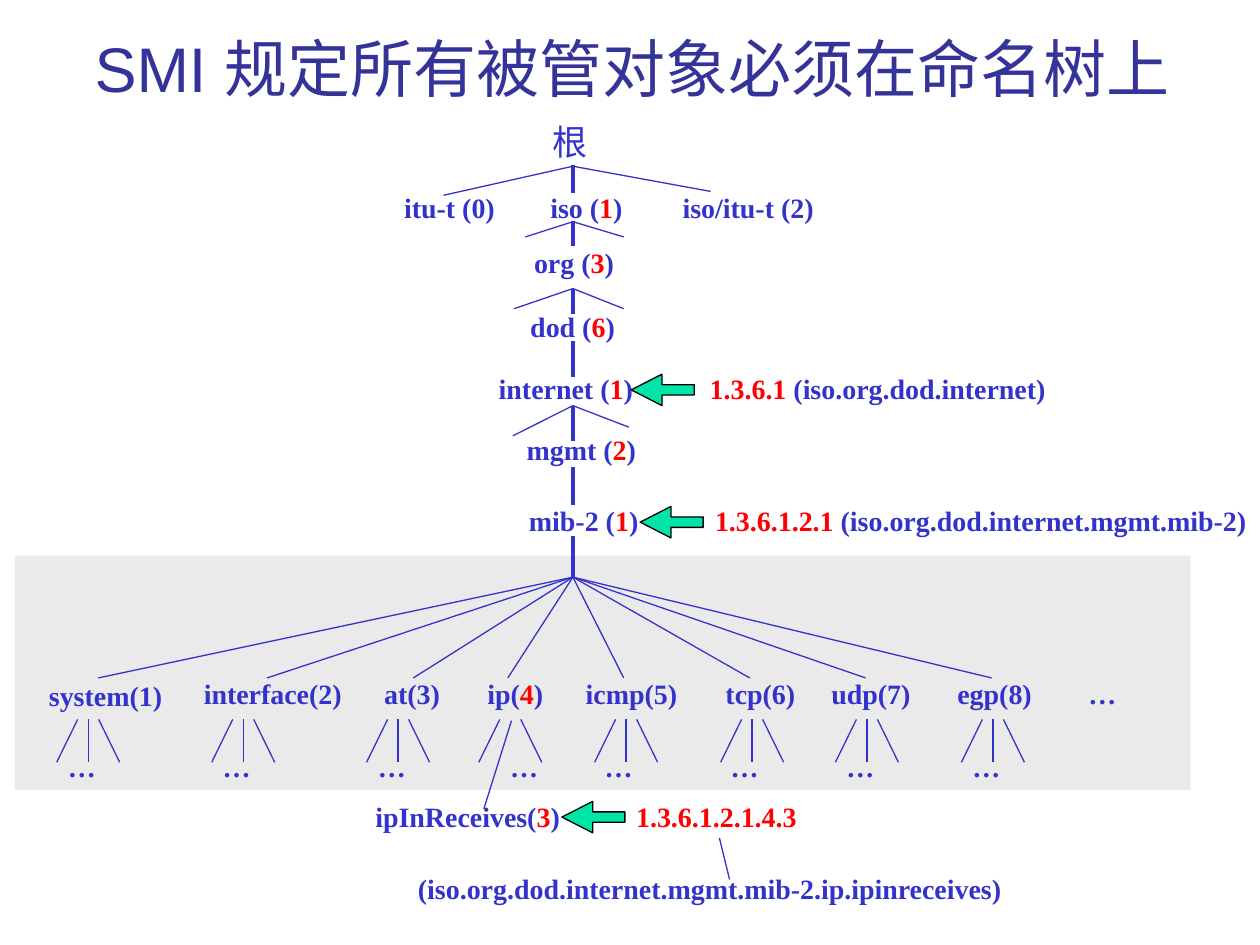
from lxml.etree import SubElement
from pptx import Presentation
from pptx.dml.color import RGBColor
from pptx.enum.shapes import MSO_CONNECTOR as Connector, MSO_SHAPE as Shape
from pptx.enum.text import MSO_ANCHOR as Anchor, MSO_AUTO_SIZE as AutoSize, PP_ALIGN as Align
from pptx.oxml.ns import qn
from pptx.util import Pt

BLUE = RGBColor(0x33, 0x33, 0xCC)
NAVY = RGBColor(0x33, 0x33, 0x99)
RED = RGBColor(0xFF, 0x00, 0x00)
GREEN = RGBColor(0x00, 0xE4, 0xA8)
GRAY = RGBColor(0xEA, 0xEA, 0xEA)
BLACK = RGBColor(0x00, 0x00, 0x00)

TITLE = "SMI 规定所有被管对象必须在命名树上"
LABEL = {"name": "Times New Roman", "size": Pt(16), "bold": True}
ROOT = {"name": "Times New Roman", "size": Pt(20), "bold": False}
HEADING = {"name": "Arial", "size": Pt(36), "bold": False}
LABEL_HEIGHT = 26.6
WIDTH_SLACK = 2

LABELS = [
    ("iso (|1|)", 307.4, 105.1, 55.4),
    ("itu-t (0)", 223.9, 105.1, 66.2),
    ("iso/itu-t (2)", 383, 105.1, 89.3),
    ("org (|3|)", 298.1, 136.8, 59.8),
    ("dod (|6|)", 295.9, 173.5, 62.6),
    ("internet (|1|)", 277.9, 208.8, 91),
    ("|1.3.6.1| (iso.org.dod.internet)", 398.5, 208.8, 206.4),
    ("mgmt (|2|)", 293.8, 243.4, 77),
    ("mib-2 (|1|)", 295.2, 284.4, 76.7),
    ("|1.3.6.1.2.1| (iso.org.dod.internet.mgmt.mib-2)", 401.5, 284.4, 318),
    ("…", 614.9, 383, 30.2),
    ("ipInReceives(|3|)", 207.4, 453.6, 123.8),
    ("|1.3.6.1.2.1.4.3|", 356.4, 453.6, 105.8),
    ("(iso.org.dod.internet.mgmt.mib-2.ip.ipinreceives)", 231.8, 494.6, 347.8),
]

TRUNK_X = 327.4
TRUNK = [(94.3, 110.2), (126, 140.4), (164.9, 179.3), (195.1, 215.3),
         (231.8, 252), (267.1, 288.7), (306, 330.5)]
FORKS = [
    (95, (253.4, 111.6), (406.1, 109.4)),
    (126.7, (300.2, 135.4), (356.4, 135.4)),
    (164.9, (293.8, 176.4), (356.4, 176.4)),
    (231.8, (293, 249.1), (359.3, 244.1)),
]
ARROWS = [(360.7, 213.8), (365.8, 289.4), (321.1, 457.9)]

GROUPS = [
    ("system(1)", 20.9, 384.5, 79.2, 56.2, 50.4, 31.7),
    ("interface(2)", 109.4, 383, 92.9, 152.6, 139, 120.2),
    ("at(3)", 212.4, 383, 46.1, 236.2, 227.5, 208.8),
    ("ip(|4|)", 271.4, 383, 46.1, 290.2, 291.6, 284.4),
    ("icmp(5)", 327.6, 383, 66.2, 356.4, 357.8, 338.4),
    ("tcp(6)", 407.5, 383, 54, 428.4, 429.8, 410.4),
    ("udp(7)", 468, 383, 59.8, 494.6, 495.4, 476.6),
    ("egp(8)", 540, 383, 56.9, 566.6, 567.4, 548.6),
]
HUB_Y, BRANCH_Y, FAN_TOP, FAN_BOTTOM, ELLIPSIS_Y = 329.8, 387.4, 411.1, 435.6, 424.8

presentation = Presentation()
presentation.slide_width, presentation.slide_height = Pt(720), Pt(540)
slide = presentation.slides.add_slide(presentation.slide_layouts[6])


def add_text(text, left, top, width, height=LABEL_HEIGHT, font=LABEL, color=BLUE):
    box = slide.shapes.add_textbox(Pt(left), Pt(top), Pt(width + WIDTH_SLACK), Pt(height))
    frame = box.text_frame
    frame.word_wrap = False
    frame.auto_size = AutoSize.SHAPE_TO_FIT_TEXT
    for index, part in enumerate(text.split("|")):
        if part:
            run = frame.paragraphs[0].add_run()
            run.text = part
            for key, value in font.items():
                setattr(run.font, key, value)
            run.font.color.rgb = RED if index % 2 else color
    return frame


def add_line(start, end, width=0.75):
    line = slide.shapes.add_connector(Connector.STRAIGHT, *map(Pt, (*start, *end)))
    line.line.color.rgb = BLUE
    line.line.width = Pt(width)
    SubElement(line._element.spPr, qn("a:effectLst"))


def add_shape(kind, left, top, width, height, color):
    shape = slide.shapes.add_shape(kind, *map(Pt, (left, top, width, height)))
    shape.shadow.inherit = False
    shape.fill.solid()
    shape.fill.fore_color.rgb = color
    shape.line.fill.background()
    return shape


add_shape(Shape.RECTANGLE, 8.6, 317.5, 671.8, 133.9, GRAY)

title = add_text(TITLE, 36.4, 9, 647.3, 54.7, HEADING, NAVY)
title.auto_size = AutoSize.NONE
title.word_wrap = True
title.vertical_anchor = Anchor.BOTTOM
title.paragraphs[0].alignment = Align.CENTER

add_text("根", 308.9, 65.5, 34.6, 31.7, ROOT)
for label in LABELS:
    add_text(*label)

for top, bottom in TRUNK:
    add_line((TRUNK_X, top), (TRUNK_X, bottom), 2.25)
for apex, *ends in FORKS:
    for end in ends:
        add_line((TRUNK_X, apex), end)

for text, left, top, width, branch, fan, ellipsis in GROUPS:
    add_text(text, left, top, width)
    add_line((TRUNK_X, HUB_Y), (branch, BRANCH_Y))
    for side in (-1, 0, 1):
        if side or not text.startswith("ip("):
            add_line((fan + 6 * side, FAN_TOP), (fan + 18 * side, FAN_BOTTOM))
    add_text("…", ellipsis, ELLIPSIS_Y, 30.2)

add_line((292.3, 411.8), (276.5, 462.2))
add_line((411.1, 478.8), (416.9, 502.6))

for left, top in ARROWS:
    arrow = add_shape(Shape.LEFT_ARROW, left, top, 36, 18, GREEN)
    arrow.line.color.rgb = BLACK
    arrow.line.width = Pt(0.75)
    arrow.adjustments[0], arrow.adjustments[1] = 0.33, 0.98

presentation.save("out.pptx")
